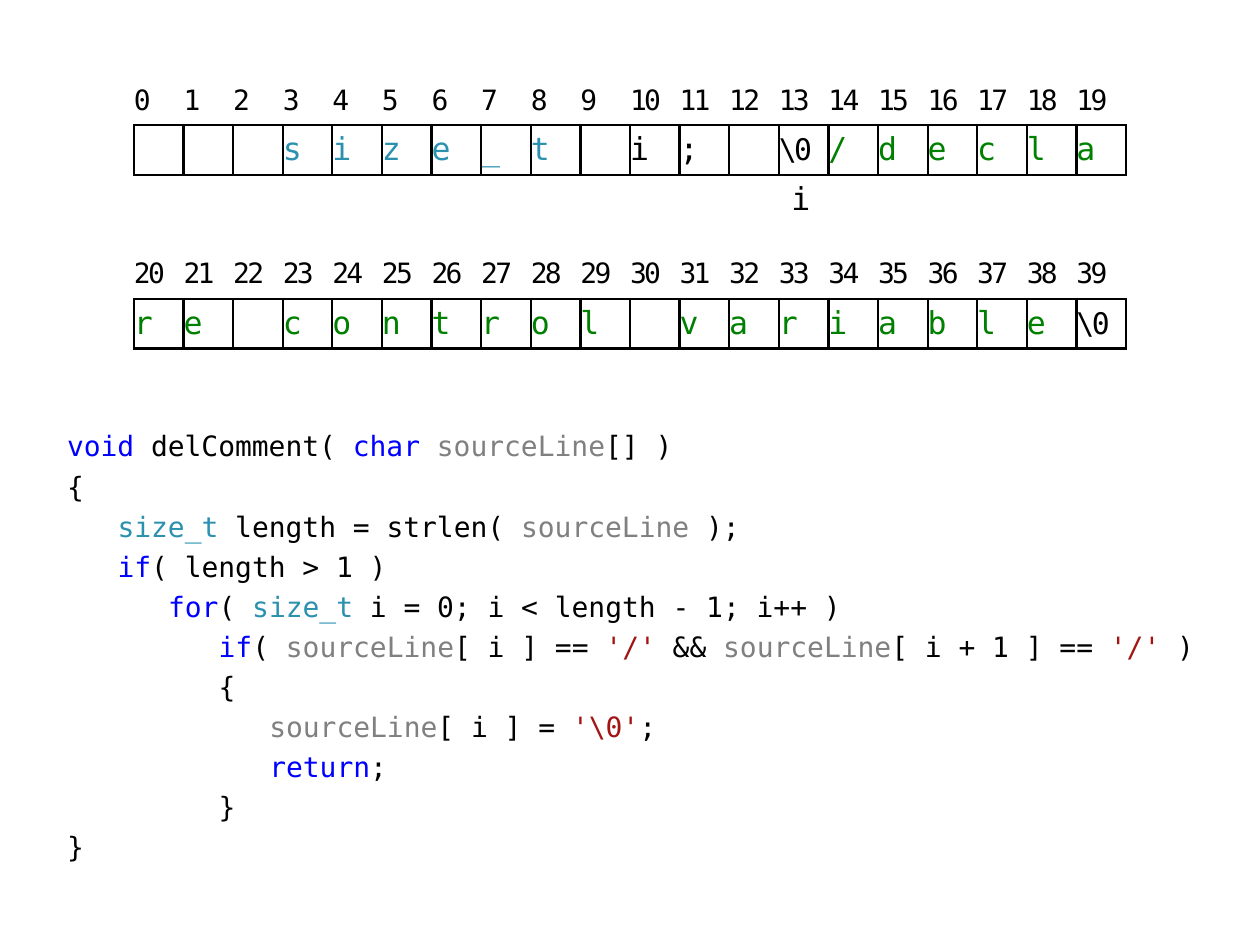
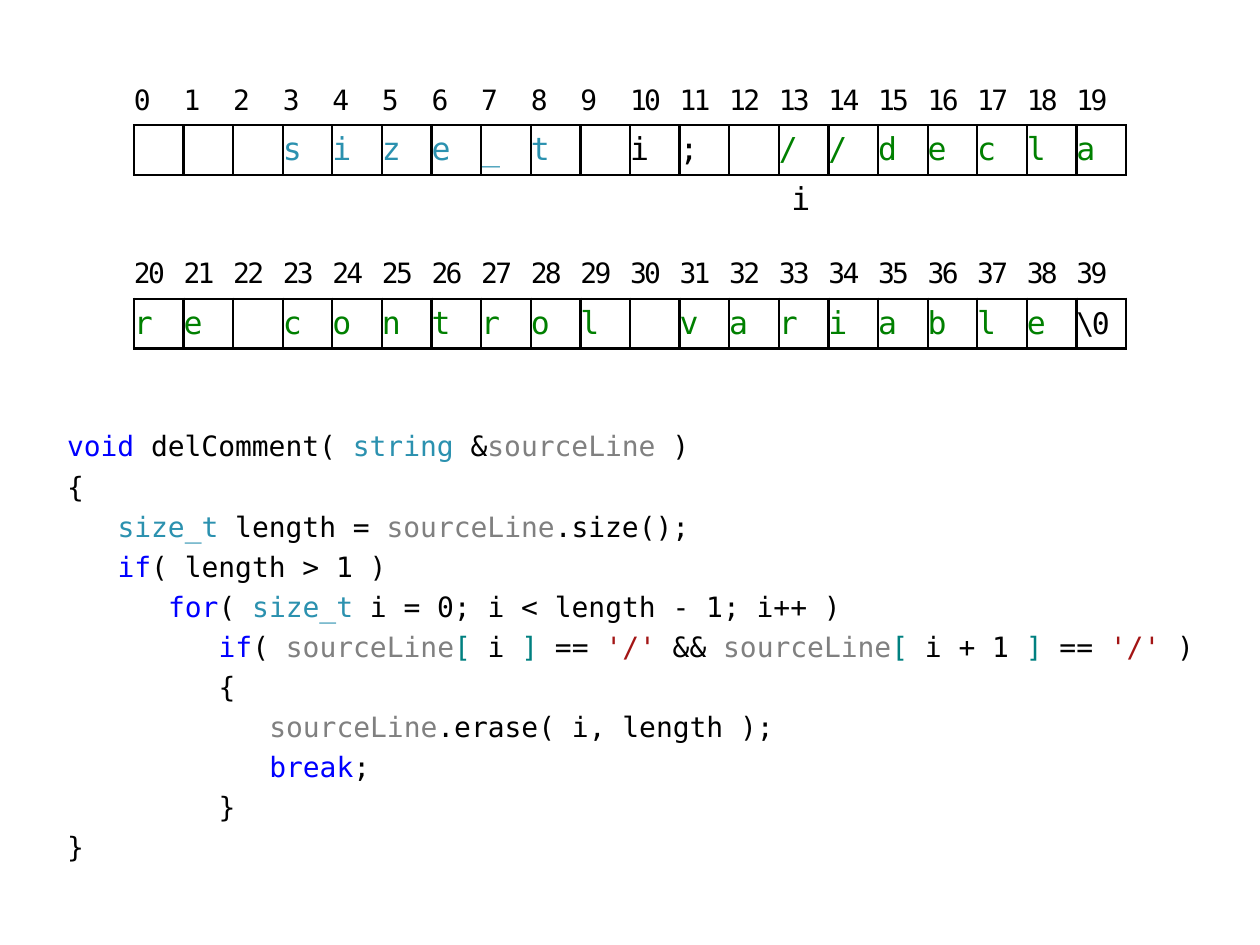
from itertools import groupby

from lxml import etree
from pptx import Presentation
from pptx.dml.color import RGBColor
from pptx.enum.text import MSO_ANCHOR
from pptx.oxml.ns import qn
from pptx.util import Cm, Inches, Pt

MIDDLE = MSO_ANCHOR.MIDDLE
TOP = MSO_ANCHOR.TOP

BLACK = RGBColor(0x00, 0x00, 0x00)
KEYWORD = RGBColor(0x00, 0x00, 0xFF)
TYPE = RGBColor(0x2B, 0x91, 0xAF)
PARAMETER = RGBColor(0x80, 0x80, 0x80)
STRING = RGBColor(0xA3, 0x15, 0x15)
COMMENT = RGBColor(0x00, 0x80, 0x00)
OPERATOR = RGBColor(0x00, 0x80, 0x80)

FONT = "DejaVu Sans Mono"
CODE_SIZE = 16
LETTER_SIZE = 18
TERMINATOR_SIZE = 17
TIGHT = -150  # hundredths of a point
INDENT = Pt(3 * 0.602 * CODE_SIZE)  # three monospaced characters
NO_STYLE_NO_GRID = "{2D5ABB26-0587-4C30-8999-92F81FD0307C}"

SLIDE_WIDTH, SLIDE_HEIGHT = Inches(10), Inches(7.5)
CELL = Cm(1)
COLUMNS = 20
GRID_LEFT = (SLIDE_WIDTH - COLUMNS * CELL) // 2
GRID_TOP = int(0.08 * SLIDE_HEIGHT)
POINTER_COLUMN = 13

TERMINATOR = "\\0"
TOKEN_COLORS = {
    **dict.fromkeys(("void", "char", "if", "for", "return", "break"), KEYWORD),
    **dict.fromkeys(("size_t", "string"), TYPE),
    "sourceLine": PARAMETER,
}
BRACKET_COLORS = {"[": OPERATOR, "]": OPERATOR}

DECLARATION = [("   ", BLACK), ("size_t", TYPE), (" i; ", BLACK)]
COMMENT_END = [("re control variable", COMMENT), ([TERMINATOR], BLACK)]


def grid_box(column, row, columns, rows):
    """Return left, top, width and height of a block of grid cells."""
    return (GRID_LEFT + int(column * CELL), GRID_TOP + int(row * CELL),
            columns * CELL, rows * CELL)


def style_paragraph(paragraph, size, color=BLACK):
    font = paragraph.font
    font.name, font.size, font.color.rgb = FONT, Pt(size), color


def draw_borders(cell, edges):
    properties = cell._tc.get_or_add_tcPr()
    for edge in edges:
        line = etree.SubElement(properties, qn(f"a:ln{edge}"), w=str(Pt(1.5)))
        fill = etree.SubElement(line, qn("a:solidFill"))
        etree.SubElement(fill, qn("a:srgbClr"), val=str(BLACK))


def fill_cell(cell, text, edges, size=LETTER_SIZE, color=BLACK, spacing=0, inset=0):
    draw_borders(cell, edges)
    cell.fill.background()
    cell.margin_left = cell.margin_right = inset
    cell.margin_top = cell.margin_bottom = 0
    cell.vertical_anchor = MIDDLE
    paragraph = cell.text_frame.paragraphs[0]
    style_paragraph(paragraph, size, color)
    if text:
        run = paragraph.add_run()
        run.text = text
        run._r.get_or_add_rPr().set("spc", str(spacing))


def add_memory(slide, box, first_index, segments, pointer=None):
    """Draw numbered character cells, with an optional row that marks one of them."""
    rows = 2 if pointer is None else 3
    table = slide.shapes.add_table(rows, COLUMNS, *box).table
    table.first_row = table.horz_banding = False
    table._tbl.tblPr.find(qn("a:tableStyleId")).text = NO_STYLE_NO_GRID
    for part in (*table.columns, *table.rows):
        if part in table.columns:
            part.width = CELL
        else:
            part.height = CELL

    letters = [(letter, color) for text, color in segments for letter in text]
    for column, (letter, color) in enumerate(letters):
        fill_cell(table.cell(0, column), str(first_index + column), "B",
                  CODE_SIZE, spacing=TIGHT)
        tight = letter == TERMINATOR
        fill_cell(table.cell(1, column), letter.strip(), "LRTB",
                  TERMINATOR_SIZE if tight else LETTER_SIZE, color,
                  TIGHT if tight else 0)
        if pointer is not None:
            marked = column == pointer
            fill_cell(table.cell(2, column), "i" if marked else "", "T",
                      inset=Inches(0.1) if marked else 0)


def highlight(line, colors):
    """Split a line of code into (text, color) pieces."""
    def token_kind(character):
        if character.isalnum() or character == "_":
            return "word"
        return character if character in "[]" else "other"

    tokens = []
    for position, piece in enumerate(line.split("'")):
        if position % 2:
            tokens.append((f"'{piece}'", STRING))
            continue
        for _, characters in groupby(piece, token_kind):
            token = "".join(characters)
            tokens.append((token, colors.get(token, BLACK)))
    for color, group in groupby(tokens, lambda token: token[1]):
        yield "".join(text for text, _ in group), color


def add_code(slide, box, lines, colors):
    frame = slide.shapes.add_textbox(*box).text_frame
    frame.word_wrap = True
    frame.vertical_anchor = TOP
    frame.margin_left, frame.margin_right = Inches(0.06), Inches(0.04)
    frame.margin_top = frame.margin_bottom = Inches(0.05)
    for number, (level, line) in enumerate(lines):
        paragraph = frame.add_paragraph() if number else frame.paragraphs[0]
        style_paragraph(paragraph, CODE_SIZE)
        paragraph.space_before = Pt(3.7)
        paragraph._p.get_or_add_pPr().set("marL", str(level * INDENT))
        for text, color in highlight(line, colors):
            run = paragraph.add_run()
            run.text = text
            if color != BLACK:
                run.font.color.rgb = color


def function_lines(parameter, length, cut, leave):
    """Return (indent level, text) for each line of delComment."""
    return [
        (0, f"void delComment( {parameter} )"),
        (0, "{"),
        (1, f"size_t length = {length};"),
        (1, "if( length > 1 )"),
        (2, "for( size_t i = 0; i < length - 1; i++ )"),
        (3, "if( sourceLine[ i ] == '/' && sourceLine[ i + 1 ] == '/' )"),
        (3, "{"),
        (4, f"{cut};"),
        (4, f"{leave};"),
        (3, "}"),
        (0, "}"),
    ]


def add_comment_slide(presentation, comment_start, lines, colors):
    slide = presentation.slides.add_slide(presentation.slide_layouts[6])
    add_code(slide, grid_box(-1.5, 7, 23, 9), lines, colors)
    add_memory(slide, grid_box(0, 0, COLUMNS, 3), 0,
               DECLARATION + comment_start, POINTER_COLUMN)
    add_memory(slide, grid_box(0, 3.5, COLUMNS, 2), COLUMNS, COMMENT_END)


def main():
    presentation = Presentation()
    presentation.slide_width, presentation.slide_height = SLIDE_WIDTH, SLIDE_HEIGHT
    add_comment_slide(
        presentation,
        [([TERMINATOR], BLACK), ("/decla", COMMENT)],
        function_lines("char sourceLine[]", "strlen( sourceLine )",
                       "sourceLine[ i ] = '\\0'", "return"),
        TOKEN_COLORS)
    add_comment_slide(
        presentation,
        [("//decla", COMMENT)],
        function_lines("string &sourceLine", "sourceLine.size()",
                       "sourceLine.erase( i, length )", "break"),
        {**TOKEN_COLORS, **BRACKET_COLORS})
    presentation.save("out.pptx")


if __name__ == "__main__":
    main()
